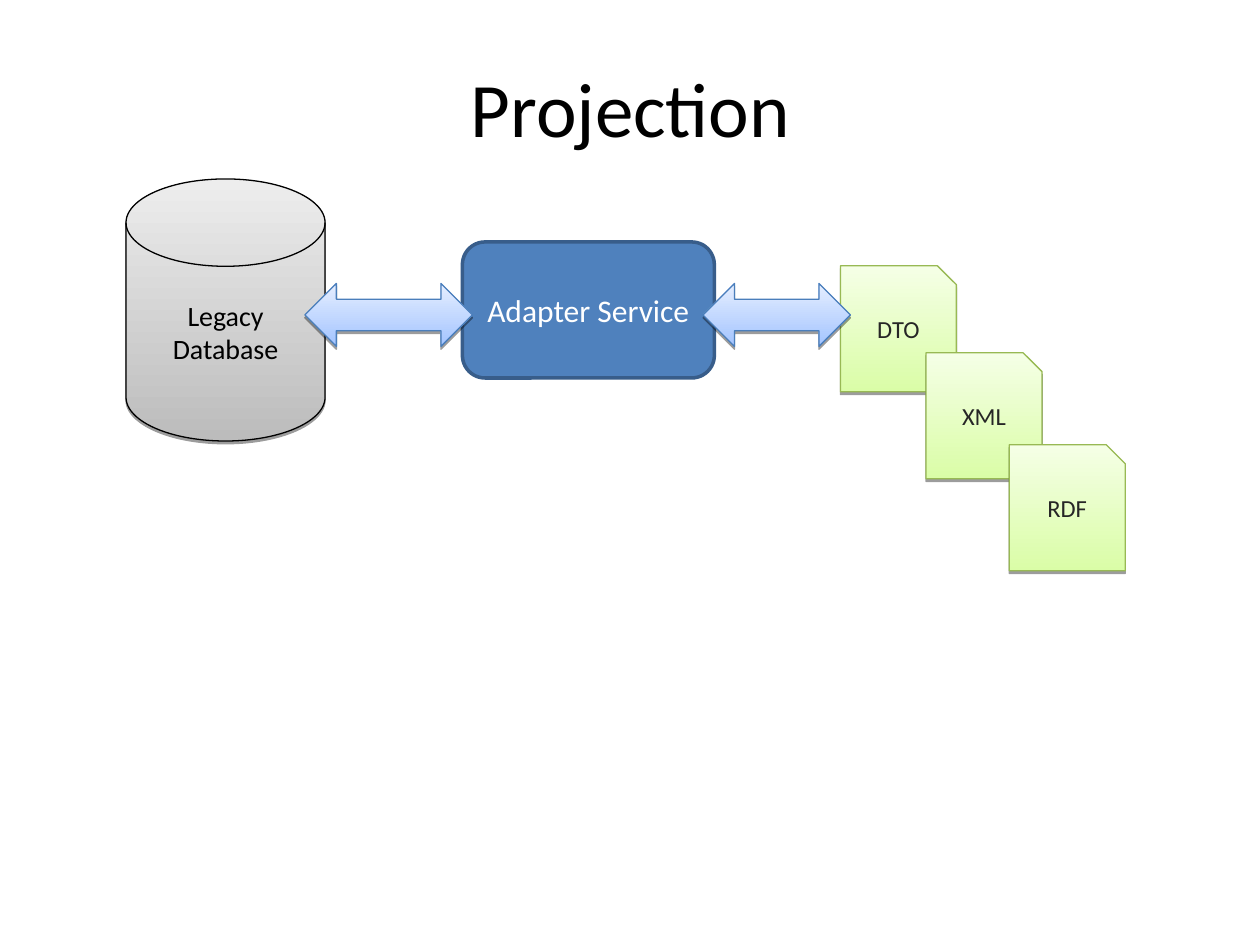
from dataclasses import dataclass
from typing import Optional

from lxml.etree import SubElement
from pptx import Presentation
from pptx.dml.color import RGBColor
from pptx.enum.shapes import MSO_SHAPE as Preset
from pptx.enum.text import MSO_ANCHOR as Anchor, PP_ALIGN as Align
from pptx.oxml.ns import qn
from pptx.util import Pt

PX = 9144


@dataclass(frozen=True)
class Style:
    bottom: str
    top: Optional[str]
    line: str
    line_width: float
    text: str = "000000"
    size: int = 14


@dataclass(frozen=True)
class Theme:
    font: str = "Calibri"
    title_color: str = "000000"
    title_size: int = 44
    shadow: str = "000000"
    service: Style = Style("4F81BD", None, "385D8A", 2, "FFFFFF", 18)
    database: Style = Style("BCBCBC", "EDEDED", "000000", 0.75, "000000", 16)
    document: Style = Style("DAFDA7", "F5FFE6", "98B954", 0.75, "262626", 14)
    arrow: Style = Style("A3C4FF", "E5EEFF", "4A7EBB", 0.75)


@dataclass(frozen=True)
class Box:
    left: int
    top: int
    width: int
    height: int

    def emu(self) -> tuple:
        return tuple(value * PX for value in
                     (self.left, self.top, self.width, self.height))


@dataclass(frozen=True)
class Node:
    preset: Preset
    box: Box
    style: Style
    label: str = ""


@dataclass(frozen=True)
class Document:
    label: str
    left: int
    top: int


THEME = Theme()
DOCUMENT_WIDTH, DOCUMENT_HEIGHT, CORNER = 92, 100, 15

SERVICE = Node(Preset.ROUNDED_RECTANGLE, Box(367, 192, 200, 108), THEME.service, "Adapter Service")
DATABASE = Node(Preset.FLOWCHART_MAGNETIC_DISK, Box(100, 142, 158, 208), THEME.database, "Legacy Database")
ARROWS = [Node(Preset.LEFT_RIGHT_ARROW, Box(left, 225, width, 50), THEME.arrow)
          for left, width in ((558, 117), (242, 133))]
FRONT_DOCUMENTS = [Document("XML", 735, 280), Document("RDF", 801, 353)]


def format_text(text_frame, text: str, size: int, color: str) -> None:
    text_frame.text = text
    text_frame.word_wrap = True
    text_frame.vertical_anchor = Anchor.MIDDLE
    paragraph = text_frame.paragraphs[0]
    paragraph.alignment = Align.CENTER
    font = paragraph.runs[0].font
    font.name = THEME.font
    font.size = Pt(size)
    font.color.rgb = RGBColor.from_string(color)


def add_drop_shadow(shape) -> None:
    effects = shape._element.spPr.find(qn("a:effectLst"))
    shadow = SubElement(effects, qn("a:outerShdw"), blurRad="0", dist=str(Pt(1.6)),
                        dir="5400000", rotWithShape="0")
    color = SubElement(shadow, qn("a:srgbClr"), val=THEME.shadow)
    SubElement(color, qn("a:alpha"), val="38000")


def apply_style(shape, style: Style, label: str) -> None:
    shape.shadow.inherit = False
    if style.top:
        shape.fill.gradient()
        shape.fill.gradient_angle = 90
        for stop, color in zip(shape.fill.gradient_stops, (style.bottom, style.top)):
            stop.color.rgb = RGBColor.from_string(color)
        add_drop_shadow(shape)
    else:
        shape.fill.solid()
        shape.fill.fore_color.rgb = RGBColor.from_string(style.bottom)
    shape.line.color.rgb = RGBColor.from_string(style.line)
    shape.line.width = Pt(style.line_width)
    if label:
        format_text(shape.text_frame, label, style.size, style.text)


def add_node(slide, node: Node) -> None:
    shape = slide.shapes.add_shape(node.preset, *node.box.emu())
    apply_style(shape, node.style, node.label)


def add_document(slide, document: Document) -> None:
    left, top = document.left, document.top
    right, bottom = left + DOCUMENT_WIDTH, top + DOCUMENT_HEIGHT
    builder = slide.shapes.build_freeform(left, top, scale=PX)
    builder.add_line_segments([(right - CORNER, top), (right, top + CORNER),
                               (right, bottom), (left, bottom)], close=True)
    apply_style(builder.convert_to_shape(), THEME.document, document.label)


def add_title(slide, text: str, box: Box) -> None:
    title = slide.shapes.title
    title.left, title.top, title.width, title.height = box.emu()
    format_text(title.text_frame, text, THEME.title_size, THEME.title_color)


def main() -> None:
    presentation = Presentation()
    presentation.slide_width, presentation.slide_height = 1000 * PX, 750 * PX
    slide = presentation.slides.add_slide(presentation.slide_layouts[5])
    add_title(slide, "Projection", Box(17, 43, 967, 84))
    add_node(slide, SERVICE)
    add_node(slide, DATABASE)
    add_document(slide, Document("DTO", 667, 211))
    for arrow in ARROWS:
        add_node(slide, arrow)
    for document in FRONT_DOCUMENTS:
        add_document(slide, document)
    presentation.save("out.pptx")


if __name__ == "__main__":
    main()
